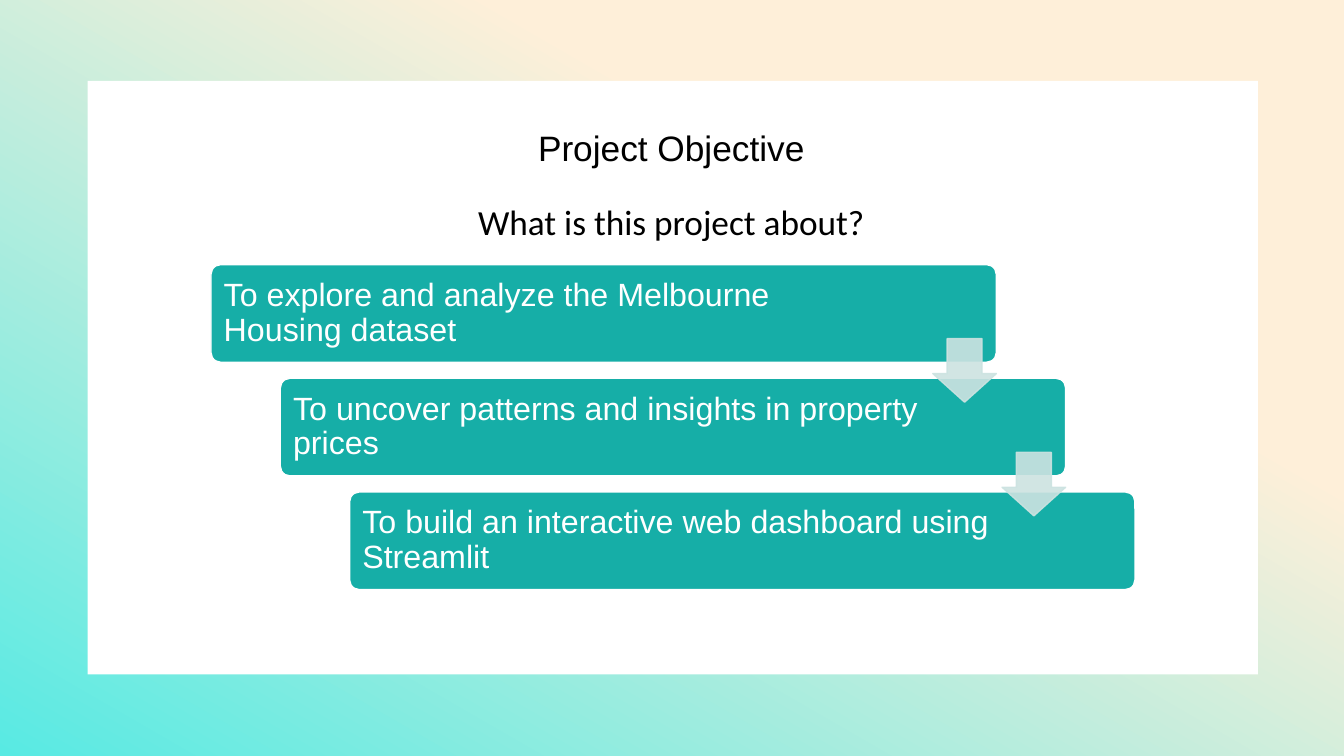
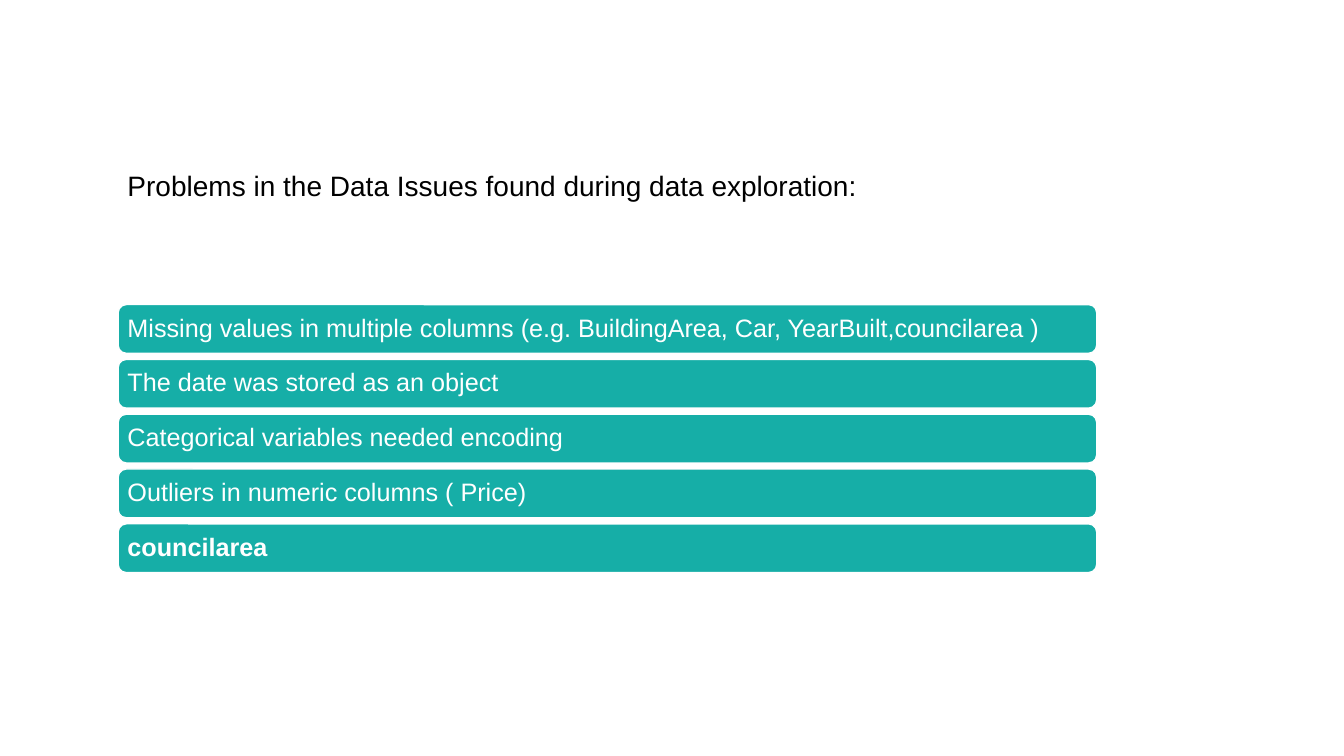
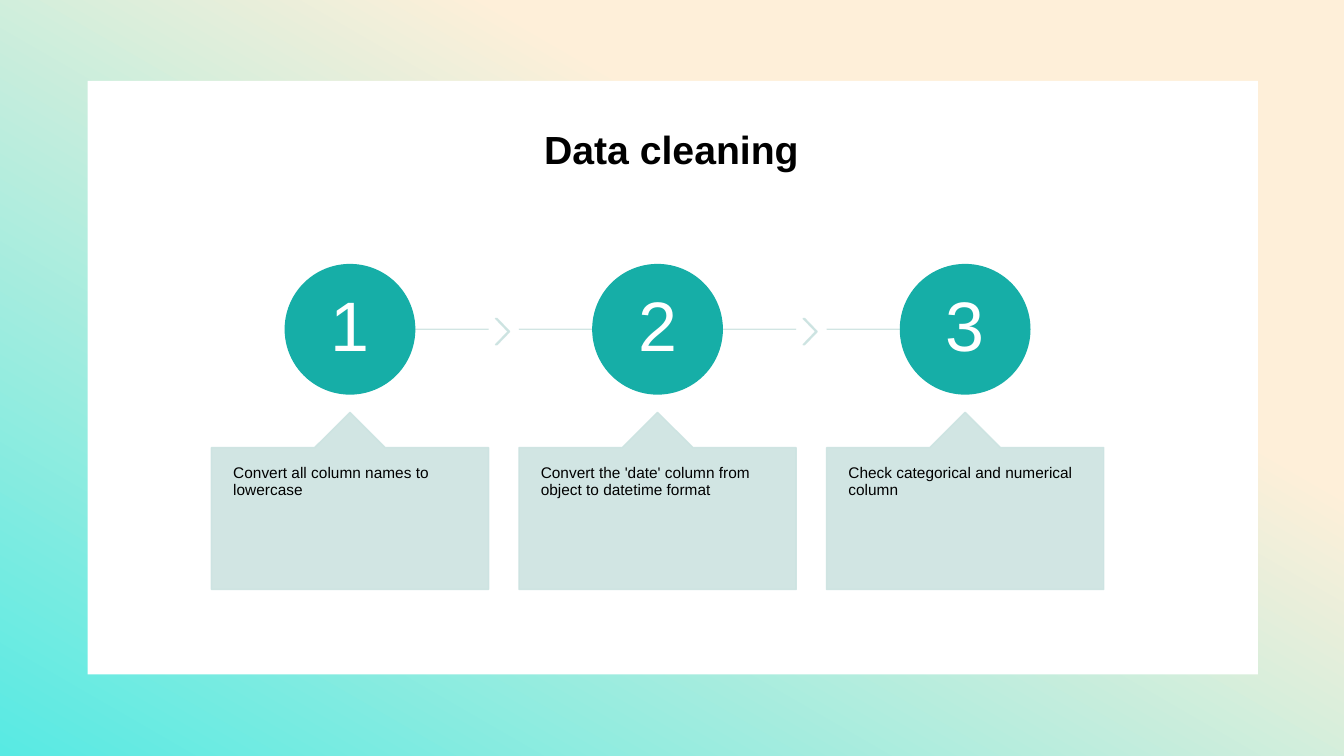
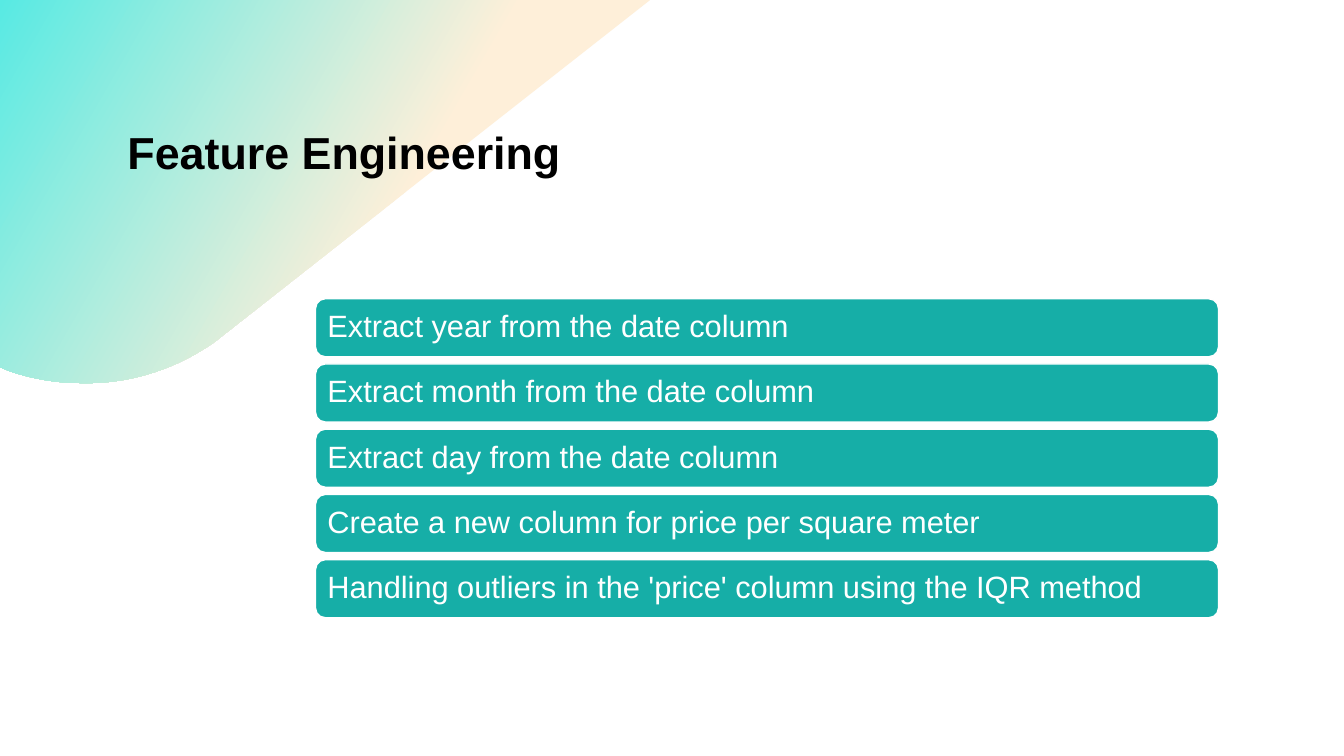
from lxml import etree
from pptx import Presentation
from pptx.dml.color import RGBColor
from pptx.enum.shapes import MSO_CONNECTOR, MSO_SHAPE
from pptx.enum.text import MSO_ANCHOR, PP_ALIGN
from pptx.oxml.ns import qn
from pptx.util import Pt

RECT, ROUND, OVAL = MSO_SHAPE.RECTANGLE, MSO_SHAPE.ROUNDED_RECTANGLE, MSO_SHAPE.OVAL
DOWN_ARROW, CHEVRON = MSO_SHAPE.DOWN_ARROW, MSO_SHAPE.CHEVRON
CALLOUT = MSO_SHAPE.UP_ARROW_CALLOUT
STRAIGHT = MSO_CONNECTOR.STRAIGHT
LEFT, CENTER = PP_ALIGN.LEFT, PP_ALIGN.CENTER
TOP, MIDDLE, BOTTOM = MSO_ANCHOR.TOP, MSO_ANCHOR.MIDDLE, MSO_ANCHOR.BOTTOM

BLACK = RGBColor(0x00, 0x00, 0x00)
WHITE = RGBColor(0xFF, 0xFF, 0xFF)
TEAL = RGBColor(0x16, 0xAE, 0xA7)
MIST = RGBColor(0xCC, 0xE3, 0xE1)
CREAM = RGBColor(0xFE, 0xEF, 0xD9)
AQUA = RGBColor(0x58, 0xEA, 0xE3)

WIDTH, HEIGHT = 960, 540


def bezier(p0, p1, p2, p3, steps=16):
    """Points along a cubic curve, without its start."""
    points = []
    for i in range(1, steps + 1):
        t = i / steps
        u = 1 - t
        points.append(tuple(
            u**3 * a + 3 * u * u * t * b + 3 * u * t * t * c + t**3 * d
            for a, b, c, d in zip(p0, p1, p2, p3)))
    return points


def soften(sp):
    """Make all solid colours of a shape 90% opaque."""
    for clr in sp._element.spPr.iter(qn("a:srgbClr")):
        etree.SubElement(clr, qn("a:alpha"), val="90000")


class Deck:
    font = "Arial"
    line_spacing = 0.9

    def __init__(self):
        self.prs = Presentation()
        self.prs.slide_width, self.prs.slide_height = Pt(WIDTH), Pt(HEIGHT)
        self.s = None

    def new_slide(self):
        self.s = self.prs.slides.add_slide(self.prs.slide_layouts[6])

    def style(self, p, size, color, bold=False, align=LEFT, font=None):
        p.alignment = align
        p.line_spacing = self.line_spacing
        p.font.name = font or self.font
        p.font.size = Pt(size)
        p.font.bold = bold
        p.font.color.rgb = color

    def label(self, sp, text, size, color, insets, anchor=MIDDLE, **look):
        tf = sp.text_frame
        tf.word_wrap = True
        tf.vertical_anchor = anchor
        (tf.margin_left, tf.margin_top,
         tf.margin_right, tf.margin_bottom) = (Pt(v) for v in insets)
        p = tf.paragraphs[0]
        p.text = text
        self.style(p, size, color, **look)
        return tf

    def shape(self, kind, x, y, w, h, fill, line=None, adj=()):
        sp = self.s.shapes.add_shape(kind, Pt(x), Pt(y), Pt(w), Pt(h))
        sp.shadow.inherit = False
        sp.fill.solid()
        sp.fill.fore_color.rgb = fill
        if line is None:
            sp.line.fill.background()
        else:
            sp.line.color.rgb = line
            sp.line.width = Pt(1)
        for i, value in enumerate(adj):
            sp.adjustments[i] = value
        return sp

    def pale(self, kind, x, y, w, h, adj):
        sp = self.shape(kind, x, y, w, h, MIST, MIST, adj)
        soften(sp)
        return sp

    def title(self, text, x, y, w, h, size, anchor=TOP, **look):
        box = self.s.shapes.add_textbox(Pt(x), Pt(y), Pt(w), Pt(h))
        return self.label(box, text, size, BLACK, (7.2, 3.6, 7.2, 3.6), anchor, **look)

    def bar(self, x, y, w, h, text, size, inset, right=None, adj=(), bold=False):
        sp = self.shape(ROUND, x, y, w, h, TEAL, WHITE, adj)
        self.label(sp, text, size, WHITE, (inset, 0, right or inset, 0), bold=bold)

    def bar_list(self, texts, x, y, w, h, pitch, size, inset, bold_last=False):
        for i, text in enumerate(texts):
            last = i == len(texts) - 1
            self.bar(x, y + i * pitch, w, h, text, size, inset,
                     bold=bold_last and last)

    def rule(self, x1, x2, y):
        line = self.s.shapes.add_connector(STRAIGHT, Pt(x1), Pt(y), Pt(x2), Pt(y))
        line.line.color.rgb = MIST
        line.line.width = Pt(1)
        etree.SubElement(line._element.spPr, qn("a:effectLst"))
        soften(line)

    def gradient(self, sp, start, angle):
        sp.shadow.inherit = False
        sp.line.fill.background()
        sp.fill.gradient()
        sp.fill.gradient_angle = angle
        for stop, position, color in zip(sp.fill.gradient_stops, (start, 1), (CREAM, AQUA)):
            stop.position = position
            stop.color.rgb = color

    def framed_slide(self):
        """White panel on a full-slide gradient."""
        self.new_slide()
        self.gradient(self.shape(RECT, 0, 0, WIDTH, HEIGHT, CREAM), 0.32, 240)
        self.shape(RECT, 62.6, 57.8, 836, 424, WHITE)

    def corner(self):
        """Rounded gradient wedge in the top left corner."""
        points = [(464.4, 0), (156.2, 242), (152.6, 244.8)]
        points += bezier(points[-1], (126.7, 262.8), (96.5, 272.9), (66.2, 273.6))
        points.append((56.9, 273.6))
        points += bezier(points[-1], (40.3, 273.6), (23, 270.7), (6.5, 265))
        points.append((0, 262.3))
        builder = self.s.shapes.build_freeform(0, 0, scale=1.0)
        builder.add_line_segments([(Pt(x), Pt(y)) for x, y in points], close=True)
        self.gradient(builder.convert_to_shape(), 0.4, 150)


def objective(deck):
    deck.framed_slide()
    tf = deck.title("Project Objective", 167.8, 90, 623.5, 90, 25.2, align=CENTER)
    p = tf.add_paragraph()
    p.text = "What is this project about?"
    deck.style(p, 25.2, BLACK, align=CENTER, font="Calibri")
    p.space_before = Pt(26)

    # Staggered steps, then the arrows between them
    goals = ["To explore and analyze the Melbourne Housing dataset",
             "To uncover patterns and insights in property prices",
             "To build an interactive web dashboard using Streamlit"]
    x, y, dx, dy, w = 150.7, 189, 49.5, 81.2, 561
    for i, goal in enumerate(goals):
        deck.bar(x + i * dx, y + i * dy, w, 69.8, goal, 23, 7.2, right=100, adj=[0.1])
    for i in range(len(goals) - 1):
        deck.pale(DOWN_ARROW, x + w - 45.4 + i * dx, y + 52.9 + i * dy,
                  45.4, 45.4, [0.55, 0.45])


def problems(deck):
    deck.new_slide()
    deck.title("Problems in the Data Issues found during data exploration:",
               84, 73.4, 700, 75, 20, anchor=BOTTOM)
    deck.bar_list(["Missing values in multiple columns (e.g. BuildingArea, Car, "
                   "YearBuilt,councilarea )",
                   "The date was stored as an object",
                   "Categorical variables needed encoding",
                   "Outliers in numeric columns ( Price)",
                   "councilarea"],
                  84.4, 217.6, 699, 34.8, 39.15, 18, 5, bold_last=True)


def cleaning(deck):
    deck.framed_slide()
    deck.title("Data cleaning", 167.8, 90, 623.5, 45.4, 28, bold=True, align=CENTER)

    # Numbered steps on a broken line
    steps = ["Convert all column names to lowercase",
             "Convert the 'date' column from object to datetime format",
             "Check categorical and numerical column"]
    x0, pitch, w, circle, axis = 151, 219.7, 198, 92.4, 235.2
    for i, step in enumerate(steps):
        x = x0 + i * pitch
        mid = x + w / 2
        first, last = i == 0, i == len(steps) - 1
        deck.rule(mid if first else x, mid if last else x + w, axis)
        if not last:
            deck.pale(CHEVRON, x + w + 5, axis - 7.7, 10, 18.7, [0.9])
        sp = deck.shape(OVAL, mid - circle / 2, axis - circle / 2, circle, circle,
                        TEAL, TEAL)
        deck.label(sp, str(i + 1), 50, WHITE, (0, 0, 0, 0), align=CENTER)
        sp = deck.pale(CALLOUT, x, 294.5, w, 126.5, [0.5, 0.2, 0.2, 0.8])
        deck.label(sp, step, 11, BLACK, (15.6, 12.8, 15.6, 12.8), TOP)


def features(deck):
    deck.new_slide()
    deck.corner()
    deck.title("Feature Engineering", 84, 90, 396, 83.5, 32, bold=True)
    deck.bar_list(["Extract year from the date column",
                   "Extract month from the date column",
                   "Extract day from the date column",
                   "Create a new column for price per square meter",
                   "Handling outliers in the 'price' column using the IQR method"],
                  225.4, 213.4, 645, 41.4, 46.6, 22, 6.5)


def main():
    deck = Deck()
    for build in (objective, problems, cleaning, features):
        build(deck)
    deck.prs.save("out.pptx")


if __name__ == "__main__":
    main()
